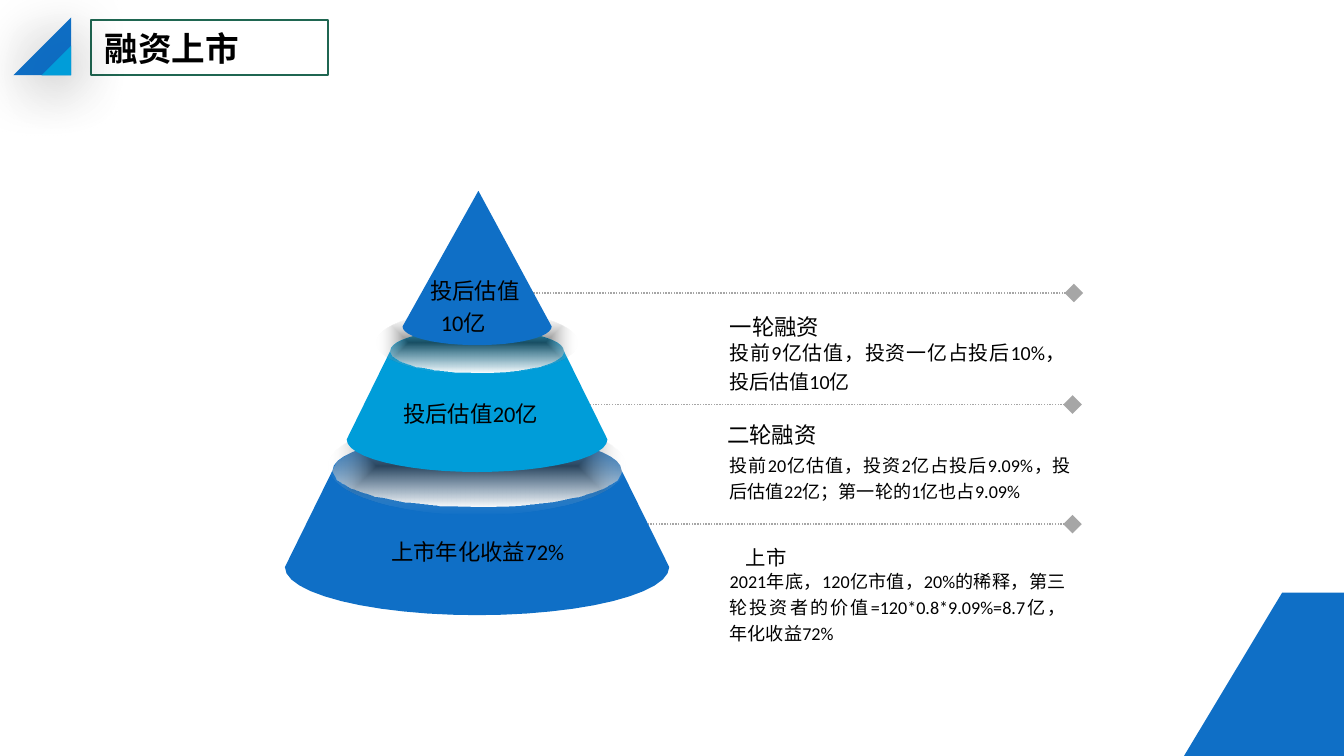
import math
from dataclasses import dataclass

import pptx
import pptx.dml.color
import pptx.enum.dml
import pptx.enum.shapes
import pptx.enum.text
import pptx.oxml
import pptx.oxml.ns
import pptx.util


@dataclass(frozen=True)
class Theme:
    blue: str = "0F6FC6"
    sky: str = "009DD9"
    green: str = "1F6651"
    gray: str = "A6A6A6"
    dusk: str = "767676"
    black: str = "000000"
    white: str = "FFFFFF"
    font: str = "Calibri"
    asian: str = "Noto Sans CJK SC"
    title: float = 18
    head: float = 12
    minor: float = 10.9
    large: float = 10.7
    body: float = 9.7


THEME = Theme()
COLS, ROWS = 100, 56.25
CELL = pptx.util.Inches(10) / COLS
AXIS = 35.5
FLAT = 0.25
STEPS = 24


def grid(count):
    return pptx.util.Emu(round(count * CELL))


def paint(shape, color):
    shape.shadow.inherit = False
    shape.line.fill.background()
    shape.fill.solid()
    shape.fill.fore_color.rgb = pptx.dml.color.RGBColor.from_string(color)


def make(markup):
    names = pptx.oxml.ns.nsdecls("a")
    return pptx.oxml.parse_xml(markup.replace(">", f" {names}>", 1))


def fade(shape, stops, mode):
    paint(shape, THEME.white)
    items = "".join(
        f'<a:gs pos="{place * 1000}"><a:srgbClr val="{color}">'
        f'<a:alpha val="{alpha * 1000}"/></a:srgbClr></a:gs>'
        for place, color, alpha in stops)
    blend = make(f"<a:gradFill><a:gsLst>{items}</a:gsLst>{mode}</a:gradFill>")
    frame = shape.element.spPr
    frame.replace(frame.find(pptx.oxml.ns.qn("a:solidFill")), blend)


def cast(shape):
    blur, gap = pptx.util.Pt(33), pptx.util.Pt(3)
    effect = shape.element.spPr.find(pptx.oxml.ns.qn("a:effectLst"))
    effect.append(make(
        f'<a:outerShdw blurRad="{blur}" dist="{gap}" dir="5400000" algn="ctr">'
        f'<a:srgbClr val="{THEME.black}"><a:alpha val="33000"/></a:srgbClr>'
        '</a:outerShdw>'))


def form(slide, points, color):
    spots = [(grid(x), grid(y)) for x, y in points]
    pen = slide.shapes.build_freeform(*spots[0], scale=1.0)
    pen.add_line_segments(spots[1:], close=True)
    shape = pen.convert_to_shape()
    paint(shape, color)
    return shape


def arc(row, wide, start, end):
    turns = [math.radians(start + (end - start) * i / STEPS)
             for i in range(STEPS + 1)]
    return [(AXIS + wide * math.cos(t), row + FLAT * wide * math.sin(t))
            for t in turns]


def tier(slide, base, rim, color):
    form(slide, arc(*base, 0, 180) + arc(*rim, 180, 360), color)
    mouth = form(slide, arc(*rim, 0, 360), color)
    fade(mouth, [(0, THEME.dusk, 0), (100, THEME.white, 100)],
         '<a:lin ang="5400000" scaled="0"/>')


def shade(slide, row, wide, high):
    shape = slide.shapes.add_shape(
        pptx.enum.shapes.MSO_SHAPE.OVAL, grid(AXIS - wide), grid(row - high),
        grid(2 * wide), grid(2 * high))
    fade(shape, [(0, THEME.black, 50), (100, THEME.white, 0)],
         '<a:path path="shape"><a:fillToRect l="50000" t="50000" '
         'r="50000" b="50000"/></a:path>')


def rule(slide, right, left, row):
    line = slide.shapes.add_connector(
        pptx.enum.shapes.MSO_CONNECTOR.STRAIGHT,
        grid(right), grid(row), grid(left), grid(row))
    line.line.color.rgb = pptx.dml.color.RGBColor.from_string(THEME.gray)
    line.line.width = pptx.util.Pt(0.75)
    line.line.dash_style = pptx.enum.dml.MSO_LINE.ROUND_DOT
    stroke = line.line._get_or_add_ln()
    stroke.append(make('<a:headEnd type="diamond" w="lg" len="lg"></a:headEnd>'))
    stroke.append(make('<a:tailEnd type="oval"></a:tailEnd>'))
    line.element.spPr.append(make("<a:effectLst></a:effectLst>"))


def write(para, text, size, font, bold=False):
    run = para.add_run()
    run.text = text
    run.font.size = pptx.util.Pt(size)
    run.font.bold = bold
    run.font.color.rgb = pptx.dml.color.RGBColor.from_string(THEME.black)
    run.font.name = font
    run.font._element.append(
        make(f'<a:ea typeface="{THEME.asian}"></a:ea>'))


def note(slide, box, lines, size, middle=False):
    shape = slide.shapes.add_textbox(*map(grid, box))
    frame = shape.text_frame
    frame.word_wrap = True
    frame.auto_size = pptx.enum.text.MSO_AUTO_SIZE.SHAPE_TO_FIT_TEXT
    frame.margin_left = frame.margin_right = 0
    frame.margin_top = frame.margin_bottom = 0
    anchor = pptx.enum.text.MSO_ANCHOR
    frame.vertical_anchor = anchor.MIDDLE if middle else anchor.TOP
    for index, (text, indent) in enumerate(lines):
        para = frame.add_paragraph() if index else frame.paragraphs[0]
        para.alignment = pptx.enum.text.PP_ALIGN.JUSTIFY
        para.line_spacing = 1.2
        if indent:
            para._p.get_or_add_pPr().set("marL", str(grid(indent)))
        write(para, text, size, THEME.font)


def title(slide, text):
    shape = slide.shapes.add_shape(
        pptx.enum.shapes.MSO_SHAPE.RECTANGLE, *map(grid, (6.8, 1.5, 17.6, 4.1)))
    shape.shadow.inherit = False
    shape.fill.background()
    shape.line.color.rgb = pptx.dml.color.RGBColor.from_string(THEME.green)
    shape.line.width = pptx.util.Pt(1)
    shape.text_frame.vertical_anchor = pptx.enum.text.MSO_ANCHOR.MIDDLE
    para = shape.text_frame.paragraphs[0]
    para.alignment = pptx.enum.text.PP_ALIGN.LEFT
    write(para, text, THEME.title, THEME.asian, True)


def main():
    deck = pptx.Presentation()
    deck.slide_width, deck.slide_height = grid(COLS), grid(ROWS)
    slide = deck.slides.add_slide(deck.slide_layouts[6])
    title(slide, "融资上市")
    for ends in [(79.8, 44.9, 39), (79.9, 36, 21.8), (79.8, 40, 30.1)]:
        rule(slide, *ends)
    for box, text, size, middle in [
        ((54.3, 25, 25, 4.3), "投前9亿估值，投资一亿占投后10%，投后估值10亿",
         THEME.large, False),
        ((54.3, 33.5, 25.4, 3.9),
         "投前20亿估值，投资2亿占投后9.09%，投后估值22亿；第一轮的1亿也占9.09%",
         THEME.body, False),
        ((54.3, 42.1, 25, 5.9),
         "2021年底，120亿市值，20%的稀释，第三轮投资者的价值"
         "=120*0.8*9.09%=8.7亿，年化收益72%", THEME.body, False),
        ((54.3, 22.9, 14.9, 2.4), "一轮融资", THEME.head, False),
        ((55.5, 40.2, 4.8, 2.2), "上市", THEME.minor, True),
        ((54.1, 30.7, 9.5, 2.9), "二轮融资", THEME.head, True),
    ]:
        note(slide, box, [(text, 0)], size, middle)
    tier(slide, (42.2, 14.3), (35, 10.75), THEME.blue)
    shade(slide, 34.7, 11.05, 3.6)
    tier(slide, (32.7, 9.7), (26.1, 6.45), THEME.sky)
    shade(slide, 25.5, 7.45, 2.4)
    form(slide, arc(24.3, 5.55, 0, 180) + [(AXIS + 0.1, 14.2)], THEME.blue)
    for side, color in [(4.3, THEME.blue), (2.2, THEME.sky)]:
        cast(form(slide, [(5.3, 5.6 - side), (5.3 - side, 5.6), (5.3, 5.6)],
                  color))
    form(slide, [(95.4, 44.1), (COLS, 44.1), (COLS, ROWS), (88.1, ROWS)],
         THEME.blue)
    note(slide, (32, 20.2, 8, 4.8), [("投后估值", 0), ("10亿", 0.8)], THEME.head)
    note(slide, (30, 29.1, 12.9, 2.9), [("投后估值20亿", 0)], THEME.head, True)
    note(slide, (29.1, 39.4, 13.8, 2.9), [("上市年化收益72%", 0)],
         THEME.head, True)
    deck.save("out.pptx")


if __name__ == "__main__":
    main()
